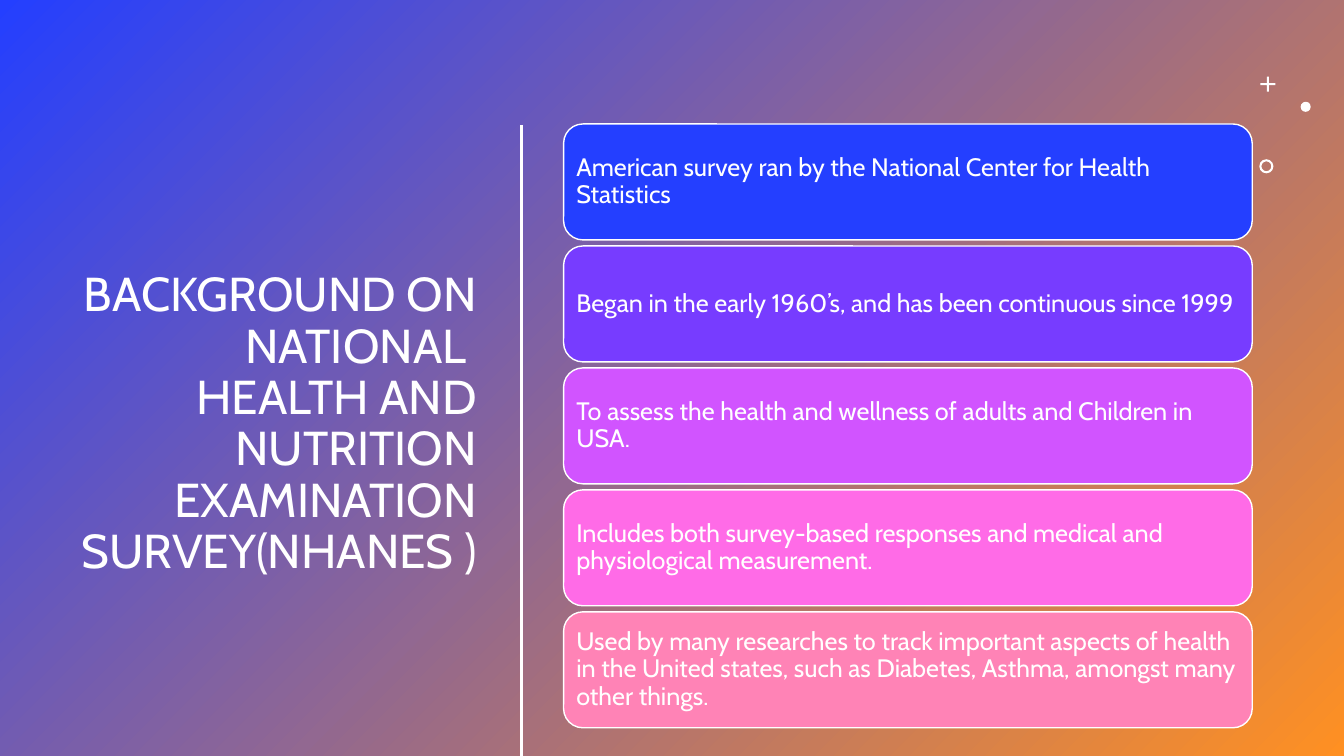
import pptx
import pptx.util
import pptx.dml.color
import pptx.enum.shapes
import pptx.enum.text
import pptx.oxml

Inches = pptx.util.Inches
Shape = pptx.enum.shapes.MSO_SHAPE
Align = pptx.enum.text.PP_ALIGN

COLORS = {
    "white": "FFFFFF",
    "blue": "243FFF",
    "orange": "FF9022",
    "violet": "773CFF",
    "purple": "D154FF",
    "pink": "FF6BE7",
    "rose": "FF83B6",
}

FACTS = [
    ("blue", "American survey ran by the National Center for Health Statistics"),
    ("violet", "Began in the early 1960’s, and has been continuous since 1999"),
    ("purple", "To assess the health and wellness of adults and Children in USA."),
    ("pink", "Includes both survey-based responses and medical and "
             "physiological measurement."),
    ("rose", "Used by many researches to track important aspects of health in "
             "the United states, such as Diabetes, Asthma, amongst many other "
             "things."),
]


def color(name):
    return pptx.dml.color.RGBColor.from_string(COLORS[name])


def write(frame, text, size=18, align=Align.LEFT, inset=0.07):
    """Fill a text frame with one paragraph; a vertical tab breaks the line."""
    frame.word_wrap = True
    frame.auto_size = pptx.enum.text.MSO_AUTO_SIZE.NONE
    frame.vertical_anchor = pptx.enum.text.MSO_ANCHOR.MIDDLE
    frame.margin_left = frame.margin_right = Inches(inset)
    frame.margin_top = frame.margin_bottom = Inches(0.07)
    para = frame.paragraphs[0]
    para.text = text
    para.alignment = align
    para.line_spacing = 0.9
    for run in para.runs:
        run.font.name = "Cabin"
        run.font.size = pptx.util.Pt(size)
        run.font.color.rgb = color("white")


class Deck:
    """Holds the presentation, its style and the current slide."""

    def __init__(self, width, height):
        self.show = pptx.Presentation()
        self.show.slide_width = Inches(width)
        self.show.slide_height = Inches(height)
        self.slide = self.show.slides.add_slide(self.show.slide_layouts[5])

    def shape(self, kind, left, top, width, height, fill="white", adjust=None):
        shape = self.slide.shapes.add_shape(
            kind, Inches(left), Inches(top), Inches(width), Inches(height))
        shape.shadow.inherit = False
        shape.fill.solid()
        shape.fill.fore_color.rgb = color(fill)
        shape.line.fill.background()
        if adjust is not None:
            shape.adjustments[0] = adjust
        return shape

    def backdrop(self, start, end):
        """Cover the slide with a diagonal blend, behind everything else."""
        panel = self.shape(Shape.RECTANGLE, 0, 0, 13.33, 7.5)
        panel.fill.gradient()
        panel.fill.gradient_angle = 315
        for stop, name, place in zip(panel.fill.gradient_stops, (start, end), (0, 1)):
            stop.color.rgb = color(name)
            stop.position = place
        self.slide.shapes._spTree.insert(2, panel._element)

    def title(self, text, left, top, width, height):
        title = self.slide.shapes.title
        title.left, title.top = Inches(left), Inches(top)
        title.width, title.height = Inches(width), Inches(height)
        write(title.text_frame, text, size=34, align=Align.RIGHT, inset=0.1)

    def rule(self, left, top, bottom):
        line = self.slide.shapes.add_connector(
            pptx.enum.shapes.MSO_CONNECTOR.STRAIGHT,
            Inches(left), Inches(top), Inches(left), Inches(bottom))
        line.line.color.rgb = color("white")
        line.line.width = pptx.util.Pt(2)
        props = line._element.spPr
        props.append(pptx.oxml.parse_xml(
            '<a:effectLst xmlns:a='
            '"http://schemas.openxmlformats.org/drawingml/2006/main"/>'))

    def card(self, text, fill, left, top, width, height):
        card = self.shape(Shape.ROUNDED_RECTANGLE, left, top, width, height, fill)
        card.line.color.rgb = color("white")
        card.line.width = pptx.util.Pt(1)
        write(card.text_frame, text)


def main():
    deck = Deck(13.33, 7.5)
    deck.backdrop("blue", "orange")
    deck.title("BACKGROUND ON NATIONAL \vHEALTH AND NUTRITION EXAMINATION "
               "SURVEY(NHANES )", 0.52, 1.16, 4.31, 6.11)
    deck.shape(Shape.CROSS, 12.5, 0.76, 0.15, 0.15, adjust=0.44)
    deck.shape(Shape.OVAL, 12.9, 1.01, 0.1, 0.1)
    deck.rule(5.17, 1.24, 7.5)
    deck.shape(Shape.DONUT, 12.49, 1.58, 0.14, 0.14, adjust=0.15)
    for row, (fill, text) in enumerate(FACTS):
        deck.card(text, fill, 5.59, 1.23 + 1.21 * row, 6.83, 1.15)
    deck.show.save("out.pptx")


if __name__ == "__main__":
    main()
